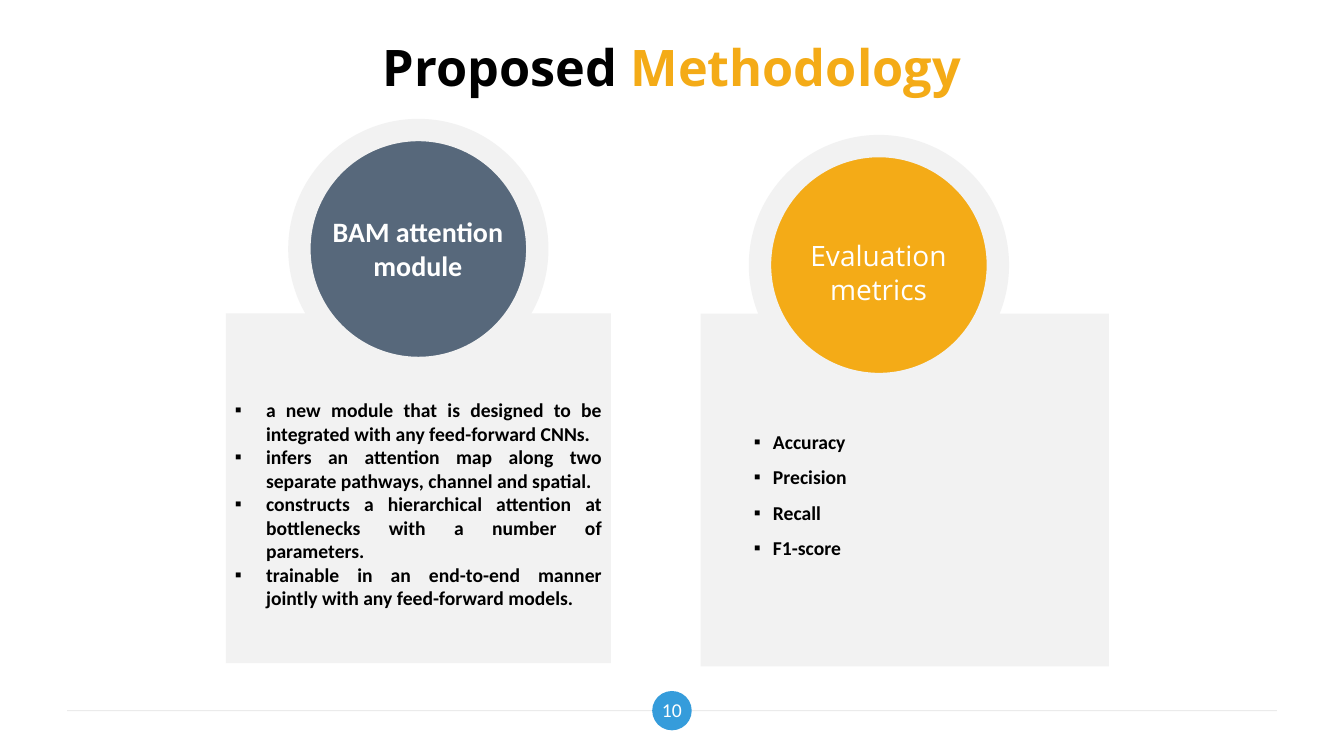
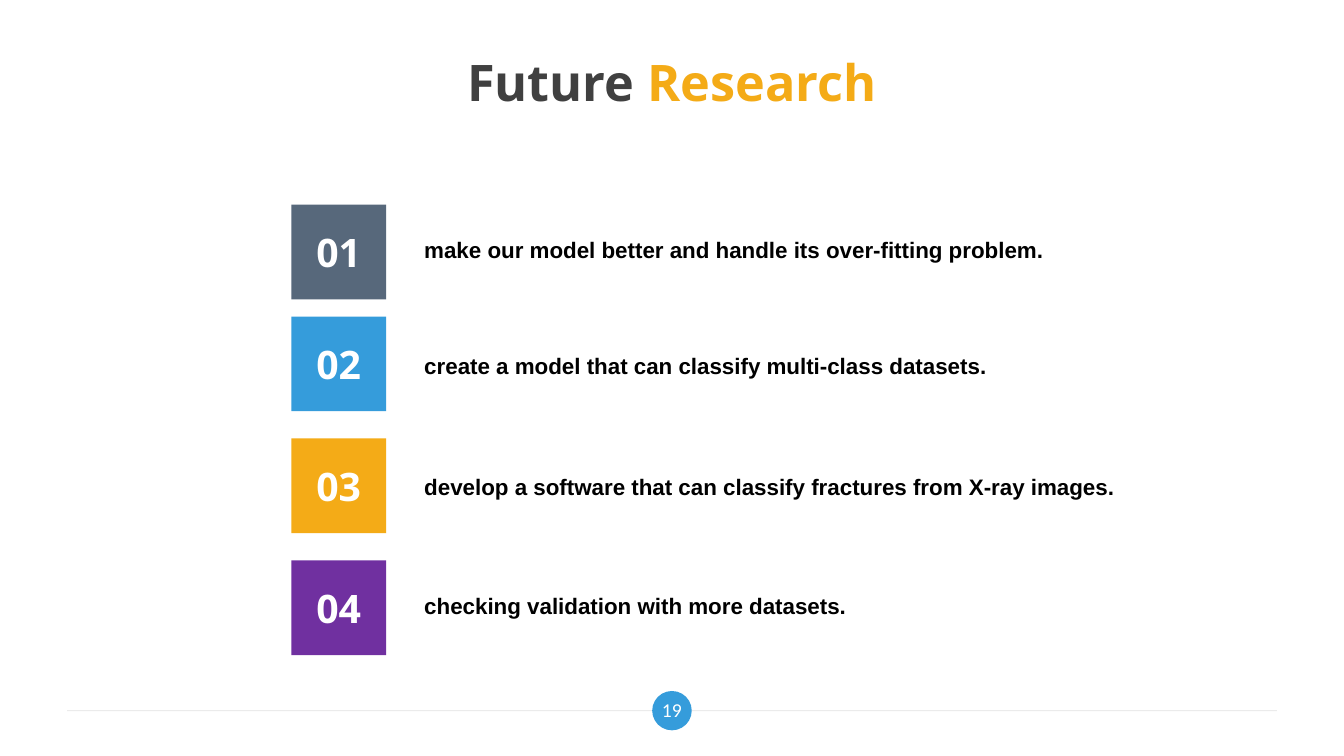
import pptx
import pptx.dml.color
import pptx.enum.shapes
import pptx.enum.text
import pptx.oxml.ns
import pptx.util
from lxml import etree

SLIDE_WIDTH = pptx.util.Inches(13.333)
SLIDE_HEIGHT = pptx.util.Inches(7.5)

BLACK, CHARCOAL, WHITE = "000000", "404040", "FFFFFF"
SLATE, BLUE, AMBER, PURPLE = "57687B", "359CDB", "F4AB17", "7030A0"
PANEL, RULE = "F2F2F2", "D9D9D9"

HEADING_FONT, BODY_FONT, LIST_FONT = "Open Sans", "Calibri", "Arial"
ALIGN = pptx.enum.text.PP_ALIGN
MIDDLE = pptx.enum.text.MSO_ANCHOR.MIDDLE
SHAPE = pptx.enum.shapes.MSO_SHAPE


def color(hex_code):
    """Turn a hex string into a colour."""
    return pptx.dml.color.RGBColor.from_string(hex_code)


def area(left, top, width, height):
    """Turn percentages of the slide's size into a position and a size."""
    return (round(SLIDE_WIDTH * left / 100), round(SLIDE_HEIGHT * top / 100),
            round(SLIDE_WIDTH * width / 100), round(SLIDE_HEIGHT * height / 100))


def add_element(parent, tag, **attributes):
    """Append a namespaced XML element to a parent."""
    return etree.SubElement(parent, pptx.oxml.ns.qn(tag), **attributes)


def style_font(font, name, size, hex_code, bold=False):
    """Set the look of a font."""
    font.name, font.size, font.bold = name, pptx.util.Pt(size), bold
    font.color.rgb = color(hex_code)


def write(shape, lines, name, size, hex_code, bold=False,
          align=ALIGN.CENTER, anchor=None, indent=0, spacing=None):
    """Fill a shape with paragraphs, bulleted where an indent is given."""
    frame = shape.text_frame
    frame.text = "\n".join(lines)
    frame.word_wrap = True
    if anchor is not None:
        frame.vertical_anchor = anchor
    for paragraph in frame.paragraphs:
        paragraph.alignment = align
        if spacing:
            paragraph.line_spacing = spacing
        if indent:
            add_bullet(paragraph, indent)
        for run in paragraph.runs:
            style_font(run.font, name, size, hex_code, bold)


def add_bullet(paragraph, indent):
    """Give a paragraph a square bullet with a hanging indent in inches."""
    properties = paragraph._p.get_or_add_pPr()
    margin = pptx.util.Inches(indent)
    properties.set("marL", str(margin))
    properties.set("indent", str(-margin))
    add_element(properties, "a:buFont", typeface="Arial")
    add_element(properties, "a:buChar", char="▪")


def add_text(slide, box, lines, *style, **options):
    """Add a text box."""
    shape = slide.shapes.add_textbox(*area(*box))
    write(shape, lines, *style, **options)


def add_block(slide, kind, box, fill, ring=None):
    """Add a flat filled shape, with a thick outline where a ring is given."""
    shape = slide.shapes.add_shape(kind, *area(*box))
    shape.shadow.inherit = False
    shape.fill.solid()
    shape.fill.fore_color.rgb = color(fill)
    if ring:
        shape.line.color.rgb = color(ring)
        shape.line.width = pptx.util.Pt(16)
    else:
        shape.line.fill.background()
    return shape


def add_footer(slide, number):
    """Add the faint rule and the round page number."""
    left, top, width, _ = area(5, 94, 90, 0)
    rule = slide.shapes.add_connector(
        pptx.enum.shapes.MSO_CONNECTOR.STRAIGHT, left, top, left + width, top)
    rule.line.color.rgb = color(RULE)
    rule.line.width = pptx.util.Pt(0.75)
    rule_color = next(rule.line._ln.iter(pptx.oxml.ns.qn("a:srgbClr")))
    add_element(rule_color, "a:alpha", val="50000")
    add_element(rule._element.spPr, "a:effectLst")
    add_block(slide, SHAPE.OVAL, (48.53, 91.4, 2.94, 5.2), BLUE)
    add_text(slide, (47.9, 91.1, 4.2, 5.6), [str(number)], BODY_FONT, 14, WHITE,
             anchor=MIDDLE)


def add_titled_slide(presentation, top, parts, number):
    """Add a slide with a title of coloured parts and the shared footer."""
    slide = presentation.slides.add_slide(presentation.slide_layouts[5])
    title = slide.shapes.title
    title.left, title.top, title.width, title.height = area(5, top, 90, 10.4)
    title.text_frame.vertical_anchor = MIDDLE
    paragraph = title.text_frame.paragraphs[0]
    paragraph.alignment = ALIGN.CENTER
    for text, hex_code in parts:
        run = paragraph.add_run()
        run.text = text
        style_font(run.font, HEADING_FONT, 36, hex_code, True)
    add_footer(slide, number)
    return slide


def add_card(slide, panel, circle, fill, label_box, label, label_font, bold,
             list_box, items, indent, spacing=None):
    """Add a grey panel topped by a labelled circle over a bulleted list."""
    add_block(slide, SHAPE.RECTANGLE, panel, PANEL)
    add_block(slide, SHAPE.OVAL, (*circle, 17.7, 31.47), fill, ring=PANEL)
    add_text(slide, label_box, [label], label_font, 20, WHITE, bold)
    add_text(slide, list_box, items, BODY_FONT, 14, BLACK, True,
             align=ALIGN.JUSTIFY, indent=indent, spacing=spacing)


def add_numbered_row(slide, number, top, fill, text_top, text):
    """Add a numbered square with a statement beside it."""
    tile = add_block(slide, SHAPE.RECTANGLE, (21.68, top, 7.05, 12.53), fill)
    write(tile, [f"{number:02d}"], HEADING_FONT, 28, WHITE, True, anchor=MIDDLE)
    add_text(slide, (30.83, text_top, 54, 4.93), [text], LIST_FONT, 16, BLACK, True,
             align=ALIGN.LEFT)


def build_methodology(presentation):
    """Build the slide on the attention module and the metrics."""
    slide = add_titled_slide(
        presentation, 3.6, [("Proposed", BLACK), (" Methodology", AMBER)], 10)
    add_card(slide, (16.8, 41.47, 28.65, 46.27), (22.28, 17.2), SLATE,
             (23.78, 27.73, 14.63, 10.27), "BAM attention module", BODY_FONT, True,
             (16.73, 52, 28.8, 29.6),
             ["a new module that is designed to be integrated with any "
              "feed-forward CNNs.",
              "infers an attention map along two separate pathways, "
              "channel and spatial.",
              "constructs a hierarchical attention at bottlenecks with a "
              "number of parameters.",
              "trainable in an end-to-end manner jointly with any "
              "feed-forward models."], 0.31)
    add_card(slide, (52.13, 41.47, 30.38, 46.67), (56.55, 19.33), AMBER,
             (57.53, 30.93, 15.68, 10.27), "Evaluation metrics", HEADING_FONT, False,
             (55.35, 54.67, 22.95, 19.73),
             ["Accuracy", "Precision", "Recall", "F1-score"], 0.19, 1.5)


def build_future_research(presentation):
    """Build the slide with the four numbered plans."""
    slide = add_titled_slide(
        presentation, 5.6, [("Future ", CHARCOAL), ("Research", AMBER)], 19)
    rows = [
        (27.07, SLATE, 30.53, "make our model better and handle its over-fitting problem."),
        (41.87, BLUE, 45.87, "create a model that can classify multi-class datasets."),
        (58, AMBER, 61.87, "develop a software that can classify fractures from X-ray images."),
        (74.13, PURPLE, 77.6, "checking validation with more datasets."),
    ]
    for number, row in enumerate(rows, start=1):
        add_numbered_row(slide, number, *row)


def main():
    """Build and save the presentation."""
    presentation = pptx.Presentation()
    presentation.slide_width, presentation.slide_height = SLIDE_WIDTH, SLIDE_HEIGHT
    build_methodology(presentation)
    build_future_research(presentation)
    presentation.save("out.pptx")


if __name__ == "__main__":
    main()
